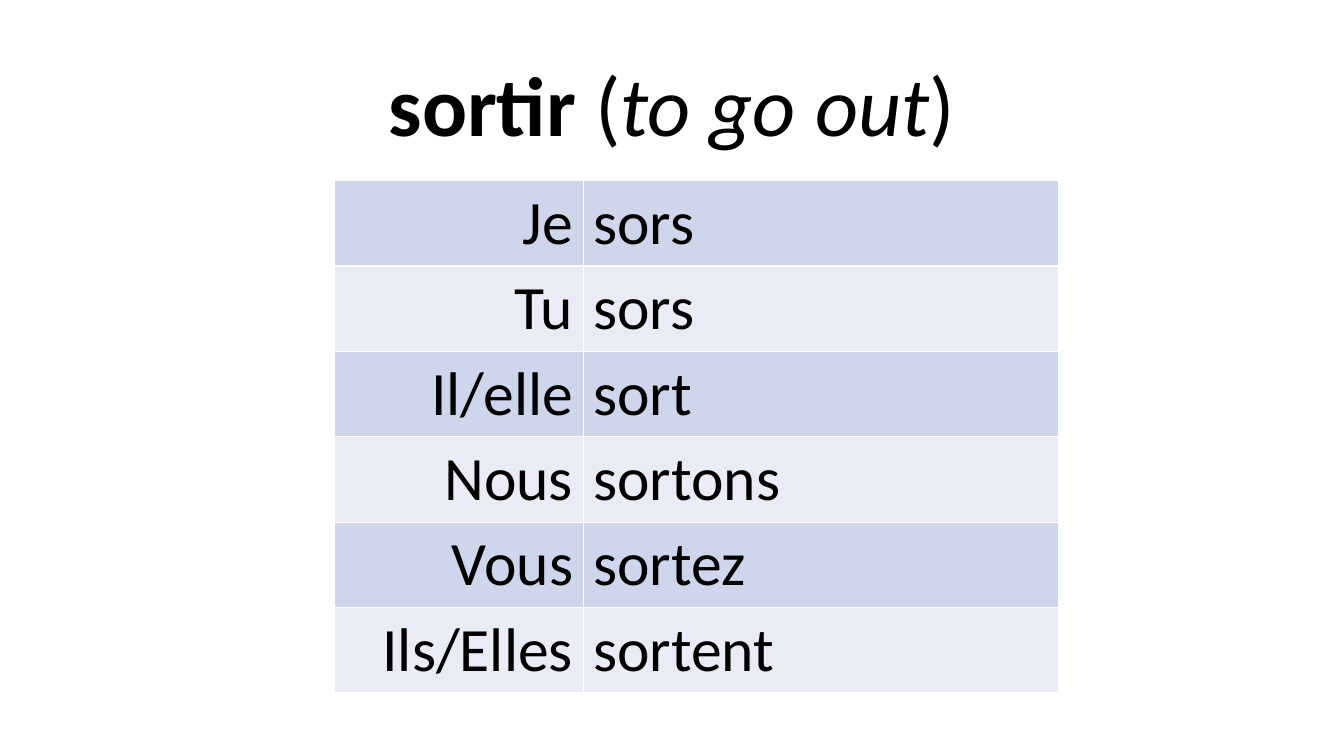
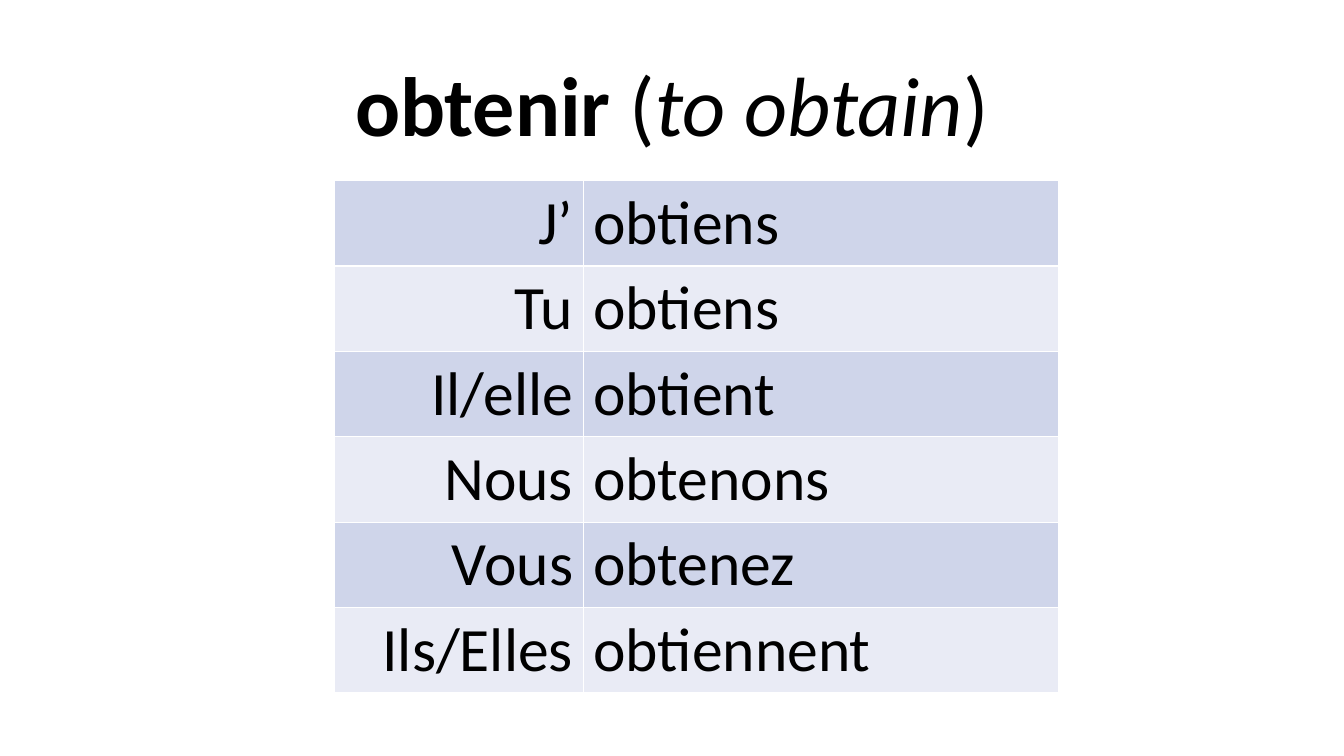
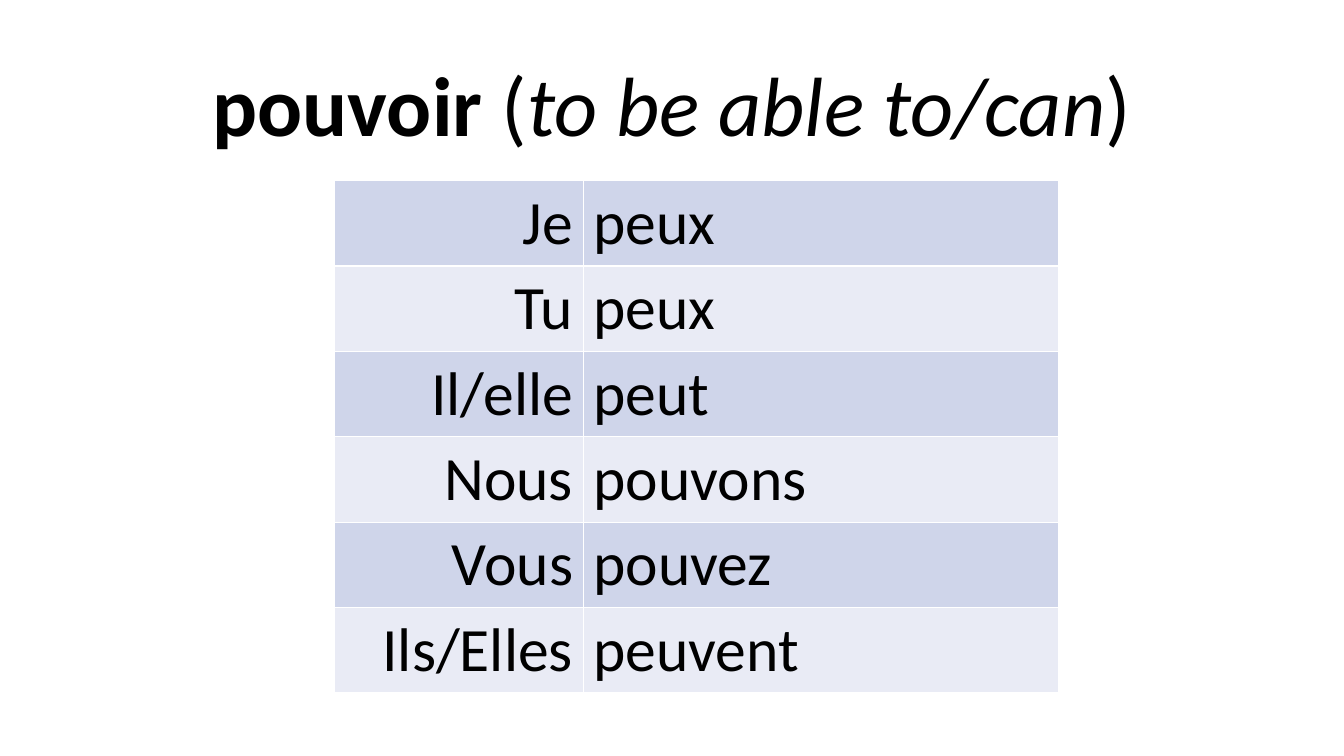
from dataclasses import dataclass

from lxml import etree
from pptx import Presentation
from pptx.dml.color import RGBColor
from pptx.enum.text import MSO_ANCHOR, MSO_AUTO_SIZE, PP_ALIGN
from pptx.oxml.ns import qn
from pptx.slide import Slide
from pptx.table import _Cell
from pptx.text.text import _Paragraph
from pptx.util import Cm, Pt

FONT = "Calibri"
BLACK = RGBColor(0x00, 0x00, 0x00)
WHITE = RGBColor(0xFF, 0xFF, 0xFF)
BANDS = (RGBColor(0xCF, 0xD5, 0xEA), RGBColor(0xE9, 0xEB, 0xF5))

TITLE_ONLY = 5
TITLE_SIZE = 60
TABLE_SIZE = 44
COLUMN_WIDTHS = (Cm(6.27), Cm(11.99))
COLUMN_ALIGNMENTS = (PP_ALIGN.RIGHT, PP_ALIGN.LEFT)
ROW_HEIGHT = Cm(2.15)
PRONOUNS = ("Tu", "Il/elle", "Nous", "Vous", "Ils/Elles")


@dataclass(frozen=True)
class Verb:
    infinitive: str
    meaning: str
    forms: tuple[str, ...]
    first_pronoun: str = "Je"


VERBS = (
    Verb("sortir", "to go out",
         ("sors", "sors", "sort", "sortons", "sortez", "sortent")),
    Verb("obtenir", "to obtain",
         ("obtiens", "obtiens", "obtient", "obtenons", "obtenez", "obtiennent"),
         first_pronoun="J’"),
    Verb("pouvoir", "to be able to/can",
         ("peux", "peux", "peut", "pouvons", "pouvez", "peuvent")),
)


def add_text(paragraph: _Paragraph, text: str, *, size: float,
             bold: bool = False, italic: bool = False) -> None:
    run = paragraph.add_run()
    run.text = text
    run.font.name = FONT
    run.font.size = Pt(size)
    run.font.bold = bold
    run.font.italic = italic
    run.font.color.rgb = BLACK


def add_title(slide: Slide, verb: Verb) -> None:
    title = slide.shapes.title
    title.left, title.top = Cm(4.23), Cm(1.12)
    title.width, title.height = Cm(25.4), Cm(2.9)
    frame = title.text_frame
    frame.auto_size = MSO_AUTO_SIZE.NONE
    frame.word_wrap = True
    frame.vertical_anchor = MSO_ANCHOR.BOTTOM
    paragraph = frame.paragraphs[0]
    paragraph.alignment = PP_ALIGN.CENTER
    paragraph.line_spacing = 0.9
    add_text(paragraph, verb.infinitive, size=TITLE_SIZE, bold=True)
    add_text(paragraph, " (", size=TITLE_SIZE)
    add_text(paragraph, verb.meaning, size=TITLE_SIZE, italic=True)
    add_text(paragraph, ")", size=TITLE_SIZE)


def add_borders(cell: _Cell) -> None:
    properties = cell._tc.get_or_add_tcPr()
    for side in ("a:lnL", "a:lnR", "a:lnT", "a:lnB"):
        line = etree.SubElement(properties, qn(side), w=str(Pt(1)))
        fill = etree.SubElement(line, qn("a:solidFill"))
        etree.SubElement(fill, qn("a:srgbClr"), val=str(WHITE))


def add_conjugation(slide: Slide, verb: Verb) -> None:
    rows = list(zip((verb.first_pronoun, *PRONOUNS), verb.forms))
    table = slide.shapes.add_table(
        len(rows), len(COLUMN_WIDTHS), Cm(8.43), Cm(4.55),
        sum(COLUMN_WIDTHS), ROW_HEIGHT * len(rows)).table
    table.first_row = False
    for column, width in zip(table.columns, COLUMN_WIDTHS):
        column.width = width
    for row_index, words in enumerate(rows):
        for column_index, word in enumerate(words):
            cell = table.cell(row_index, column_index)
            add_borders(cell)
            cell.fill.solid()
            cell.fill.fore_color.rgb = BANDS[row_index % len(BANDS)]
            paragraph = cell.text_frame.paragraphs[0]
            paragraph.alignment = COLUMN_ALIGNMENTS[column_index]
            add_text(paragraph, word, size=TABLE_SIZE)


def main() -> None:
    presentation = Presentation()
    presentation.slide_width, presentation.slide_height = Cm(33.87), Cm(19.05)
    for verb in VERBS:
        slide = presentation.slides.add_slide(presentation.slide_layouts[TITLE_ONLY])
        add_title(slide, verb)
        add_conjugation(slide, verb)
    presentation.save("out.pptx")


if __name__ == "__main__":
    main()
